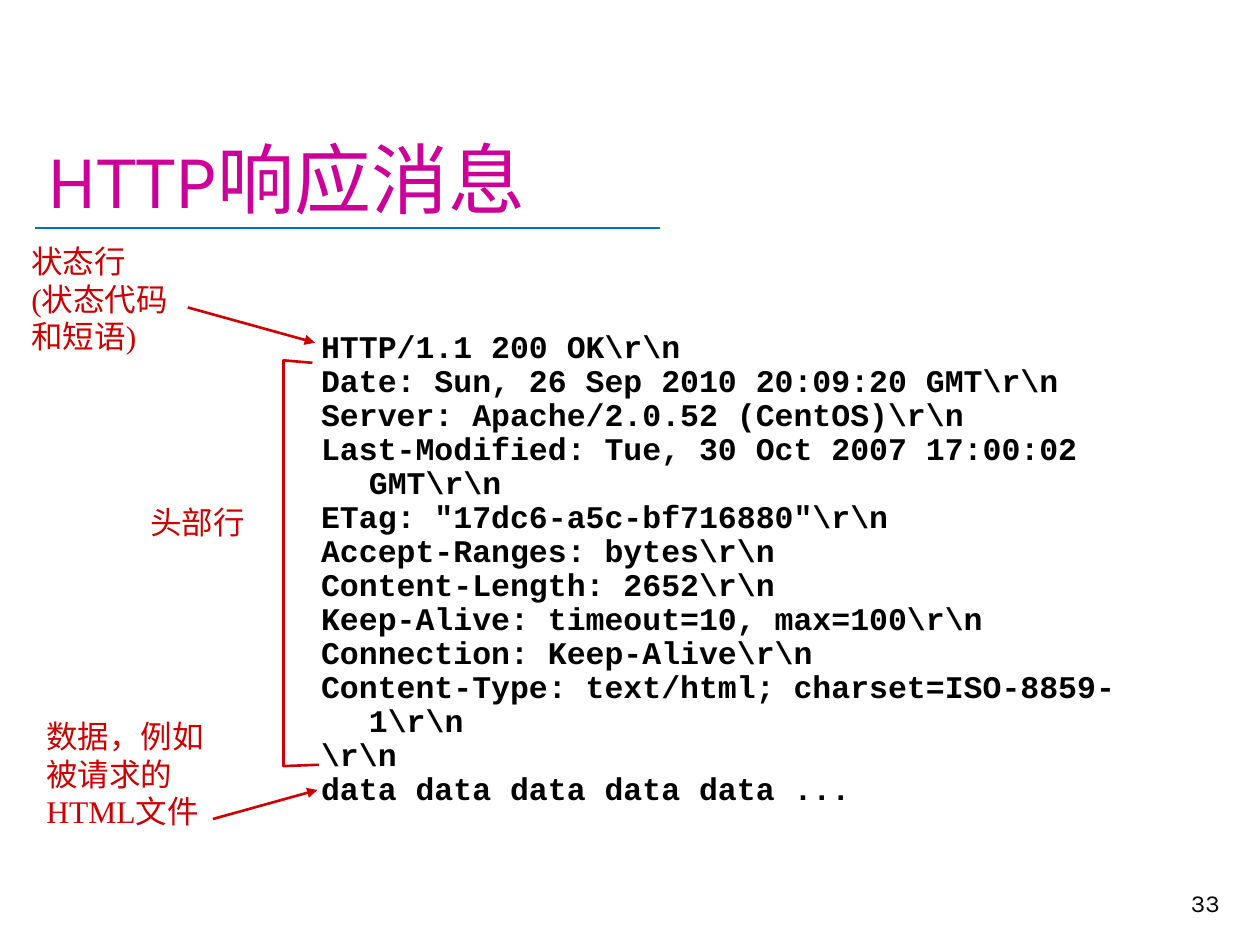
from pptx import Presentation
from pptx.dml.color import RGBColor
from pptx.enum import shapes, text
from pptx.oxml.ns import qn
from pptx.util import Inches, Pt
from lxml import etree

COLORS = {"title": "CC0099", "rule": "0070C0", "note": "CC0000", "body": "000000"}
RESPONSE = r"""HTTP/1.1 200 OK\r\n
Date: Sun, 26 Sep 2010 20:09:20 GMT\r\n
Server: Apache/2.0.52 (CentOS)\r\n
Last-Modified: Tue, 30 Oct 2007 17:00:02 GMT\r\n
ETag: "17dc6-a5c-bf716880"\r\n
Accept-Ranges: bytes\r\n
Content-Length: 2652\r\n
Keep-Alive: timeout=10, max=100\r\n
Connection: Keep-Alive\r\n
Content-Type: text/html; charset=ISO-8859-1\r\n
\r\n
data data data data data ...""".split("\n")

presentation = Presentation()
presentation.slide_width = Inches(10)
presentation.slide_height = Inches(7.5)
slide = presentation.slides.add_slide(presentation.slide_layouts[6])


def add_text(box, lines, font, color, frame_format, paragraph_format):
    frame = slide.shapes.add_textbox(*map(Inches, box)).text_frame
    for name, value in {"word_wrap": True, **frame_format}.items():
        setattr(frame, name, value)
    for index, line in enumerate(lines):
        paragraph = frame.add_paragraph() if index else frame.paragraphs[0]
        paragraph.text = line
        for name, value in font.items():
            setattr(paragraph.font, name, value)
        paragraph.font.color.rgb = RGBColor.from_string(COLORS[color])
        for name, value in paragraph_format.items():
            if name in ("marL", "indent"):
                paragraph._p.get_or_add_pPr().set(name, str(value))
            else:
                setattr(paragraph, name, value)


def add_line(start, end, color, width, arrow):
    connector = slide.shapes.add_connector(
        shapes.MSO_CONNECTOR.STRAIGHT, *map(Inches, start + end))
    connector.line.color.rgb = RGBColor.from_string(COLORS[color])
    connector.line.width = Pt(width)
    if arrow:
        etree.SubElement(connector.line._get_or_add_ln(), qn("a:tailEnd"), type="triangle")
    etree.SubElement(connector._element.spPr, qn("a:effectLst"))


bottom = {"vertical_anchor": text.MSO_ANCHOR.BOTTOM}
grow = {"auto_size": text.MSO_AUTO_SIZE.SHAPE_TO_FIT_TEXT}
right = {"alignment": text.PP_ALIGN.RIGHT}
hanging = {"line_spacing": 0.9, "marL": Inches(0.38), "indent": Inches(-0.38)}
note_font = {"name": "Times New Roman", "size": Pt(18)}
code_font = {"name": "Courier New", "size": Pt(18), "bold": True}

add_line((0.28, 1.81), (5.24, 1.81), "rule", 1.25, False)
add_text((0.27, 0.23, 9.51, 1.6), ["HTTP响应消息"],
         {"name": "Karla", "size": Pt(44)}, "title", bottom, {})
add_text((7.7, 6.83, 2.08, 0.5), ["33"],
         {"name": "Karla", "size": Pt(14)}, "body", bottom, right)

for box, lines, paragraph_format in [
    ((0.15, 1.87, 1.3, 1.01), ["状态行", "(状态代码\v和短语)"], {}),
    ((1.08, 3.94, 0.96, 0.4), ["头部行"], right),
    ((0.27, 5.64, 1.46, 1.01), ["数据，例如\v被请求的\vHTML文件"], {}),
]:
    add_text(box, lines, note_font, "note", grow, paragraph_format)

for start, end in [((1.49, 2.44), (2.5, 2.72)), ((1.69, 6.5), (2.52, 6.27))]:
    add_line(start, end, "note", 1.5, True)

builder = slide.shapes.build_freeform(Inches(2.48), Inches(2.88))
builder.add_line_segments(
    [(Inches(x), Inches(y)) for x, y in [(2.25, 2.86), (2.25, 6.08), (2.53, 6.07)]],
    close=False)
bracket = builder.convert_to_shape()
bracket.shadow.inherit = False
bracket.fill.background()
bracket.line.color.rgb = RGBColor.from_string(COLORS["note"])
bracket.line.width = Pt(1.5)

add_text((2.45, 2.58, 6.9, 3.89), RESPONSE, code_font, "body", grow, hanging)

presentation.save("out.pptx")
